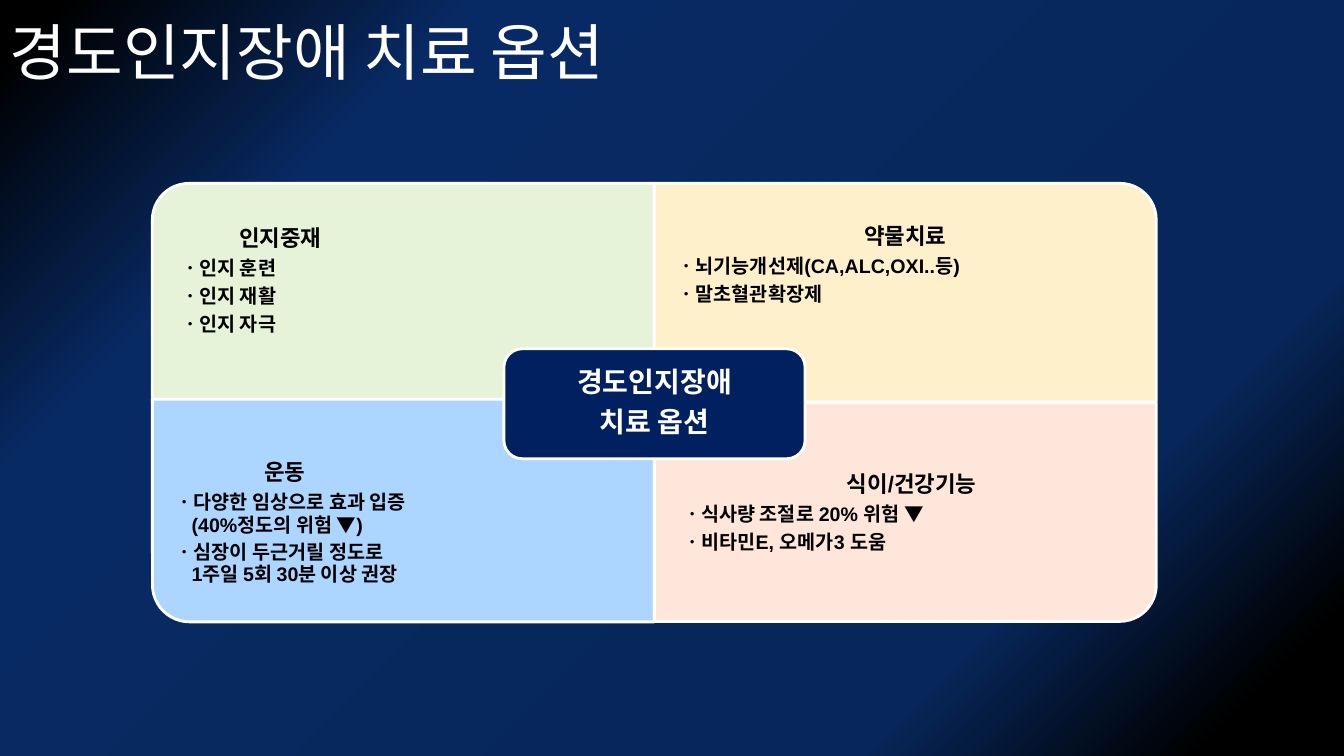
"""Build the slide on treatment options for mild cognitive impairment."""
from pptx import Presentation
from pptx.dml.color import RGBColor
from pptx.enum.shapes import MSO_SHAPE
from pptx.enum.text import MSO_ANCHOR, PP_ALIGN
from pptx.oxml import parse_xml
from pptx.oxml.ns import nsdecls
from pptx.util import Cm, Pt

WHITE = RGBColor(0xFF, 0xFF, 0xFF)
BLACK = RGBColor(0x00, 0x00, 0x00)
NAVY = RGBColor(0x00, 0x20, 0x60)
GREEN = RGBColor(0xE6, 0xF3, 0xD9)
YELLOW = RGBColor(0xFF, 0xF0, 0xCC)
BLUE = RGBColor(0xAC, 0xD6, 0xFF)
PINK = RGBColor(0xFF, 0xE6, 0xDB)
STOPS = [(7, BLACK), (23, RGBColor(0x07, 0x26, 0x59)),
         (77, RGBColor(0x08, 0x2A, 0x64)), (97, BLACK)]

LEFT, WIDE = 3.84, 12.65
MID = LEFT + WIDE


def paint(shape, color):
    shape.shadow.inherit = False
    shape.fill.solid()
    shape.fill.fore_color.rgb = color
    shape.line.color.rgb = WHITE
    shape.line.width = Pt(2)


def write(frame, row, text, size, color, indent=0, align=PP_ALIGN.LEFT,
          after=5, face="Arial", bold=True):
    para = frame.paragraphs[0] if row == 0 else frame.add_paragraph()
    para.text = text
    para.alignment = align
    para.line_spacing = 0.9
    para.space_after = Pt(after)
    para.font.size = Pt(size)
    para.font.name = face
    para.font.bold = bold
    para.font.color.rgb = color
    para._p.get_or_add_pPr().set("marL", str(Cm(indent)))


deck = Presentation()
deck.slide_width, deck.slide_height = Cm(33.87), Cm(19.05)
slide = deck.slides.add_slide(deck.slide_layouts[6])

slide.background.fill.solid()
back = slide.element.cSld.bg.bgPr
stops = "".join(f'<a:gs pos="{pos * 1000}"><a:srgbClr val="{color}"/></a:gs>'
                for pos, color in STOPS)
back.replace(back[0], parse_xml(
    f'<a:gradFill {nsdecls("a")} rotWithShape="1"><a:gsLst>{stops}</a:gsLst>'
    '<a:path path="circle"><a:fillToRect l="100000" t="100000"/></a:path>'
    '<a:tileRect r="-100000" b="-100000"/></a:gradFill>'))

title = slide.shapes.add_textbox(0, 0, Cm(33.87), Cm(2.82)).text_frame
title.word_wrap = True
title.vertical_anchor = MSO_ANCHOR.MIDDLE
write(title, 0, "경도인지장애 치료 옵션", 44, WHITE, after=0,
      face="Montserrat", bold=False)

PANELS = [
    (LEFT, 4.62, 5.51, 270, GREEN, 7.09, "인지중재", 1.89, PP_ALIGN.LEFT,
     [("ㆍ인지 훈련", 0.43, 5), ("ㆍ인지 재활", 0.43, 5),
      ("ㆍ인지 자극", 0.43, 5)]),
    (MID, 4.62, 5.51, 0, YELLOW, 6.7, "약물치료", 0, PP_ALIGN.CENTER,
     [("ㆍ뇌기능개선제(CA,ALC,OXI..등)", 0.29, 5),
      ("ㆍ말초혈관확장제", 0.29, 5)]),
    (LEFT, 10.06, 5.61, 180, BLUE, 13.2, "운동", 2.52, PP_ALIGN.LEFT,
     [("ㆍ다양한 임상으로 효과 입증", 0.29, 1),
      ("(40%정도의 위험 ▼)", 0.69, 4),
      ("ㆍ심장이 두근거릴 정도로", 0.29, 1),
      ("1주일 5회 30분 이상 권장", 0.69, 1)]),
    (MID, 10.15, 5.51, 90, PINK, 12.94, "식이/건강기능", 0.32, PP_ALIGN.CENTER,
     [("ㆍ식사량 조절로 20% 위험 ▼", 0.43, 5),
      ("ㆍ비타민E, 오메가3 도움", 0.43, 5)]),
]
for left, top, high, turn, color, center, head, shift, align, items in PANELS:
    wide, tall = (high, WIDE) if turn % 180 else (WIDE, high)
    panel = slide.shapes.add_shape(
        MSO_SHAPE.ROUND_1_RECTANGLE, Cm(left + (WIDE - wide) / 2),
        Cm(top + (high - tall) / 2), Cm(wide), Cm(tall))
    panel.rotation = turn
    paint(panel, color)

    frame = slide.shapes.add_textbox(
        Cm(left), Cm(center - 2), Cm(WIDE), Cm(4)).text_frame
    frame.word_wrap = True
    frame.vertical_anchor = MSO_ANCHOR.MIDDLE
    frame.margin_left = frame.margin_right = Cm(0.3)
    write(frame, 0, head, 16, BLACK, shift, align)
    for row, (text, indent, after) in enumerate(items, 1):
        write(frame, row, text, 14, BLACK, indent, after=after)

core = slide.shapes.add_shape(
    MSO_SHAPE.ROUNDED_RECTANGLE, Cm(12.7), Cm(8.79), Cm(7.59), Cm(2.77))
paint(core, NAVY)
core.text_frame.vertical_anchor = MSO_ANCHOR.MIDDLE
for row, text in enumerate(["경도인지장애", "치료 옵션"]):
    write(core.text_frame, row, text, 20, WHITE, align=PP_ALIGN.CENTER, after=7)

deck.save("out.pptx")
